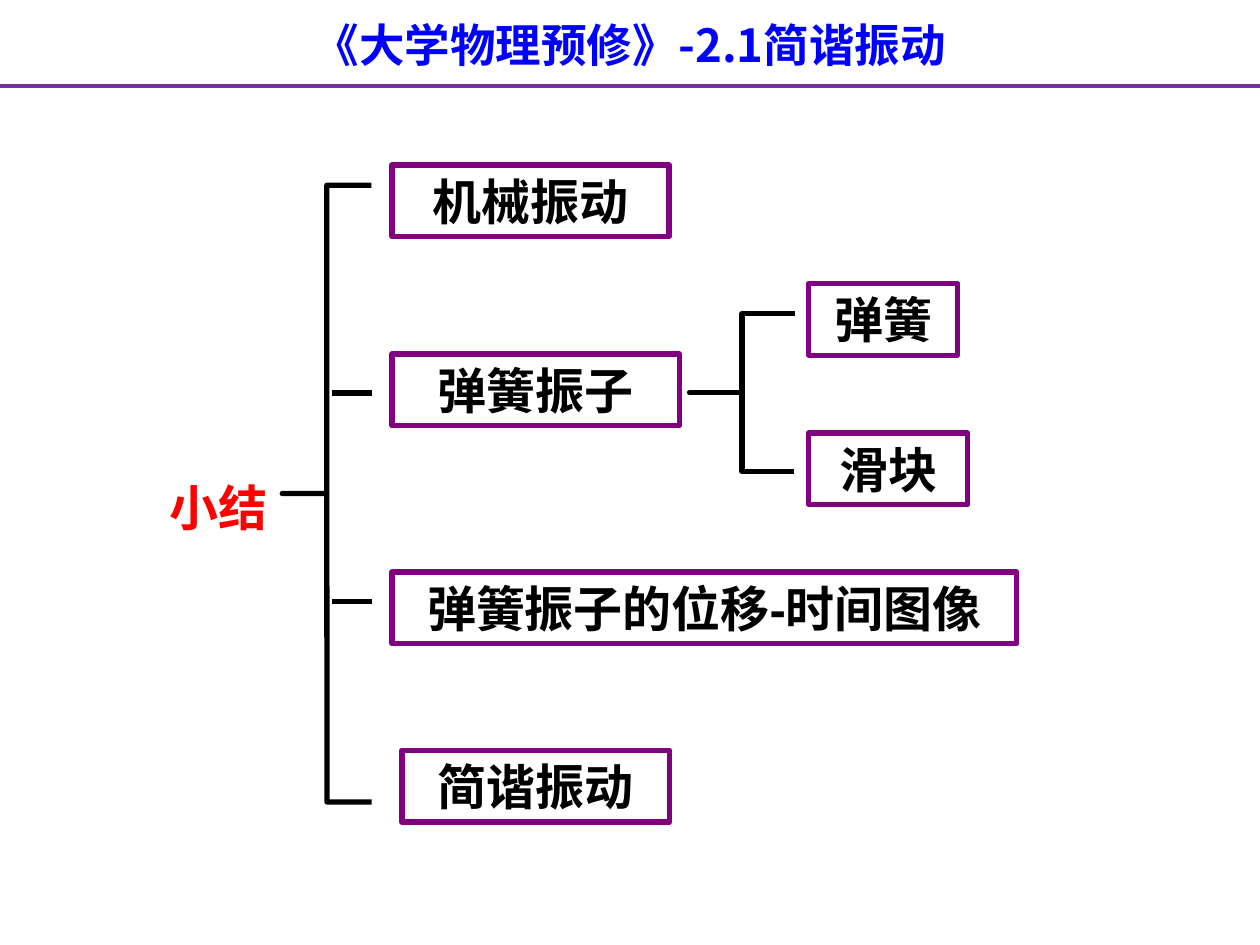
from lxml import etree
from pptx import Presentation, util as u
from pptx.dml.color import RGBColor
from pptx.enum import shapes, text
from pptx.oxml import ns

COLORS = {
    "background": "FFFFFF",
    "title": "0000FF",
    "rule": "7030A0",
    "border": "800080",
    "ink": "000000",
    "summary": "FF0000",
}
CJK_FONT = "Noto Sans CJK SC"
BOX_HEIGHT = 41


def color(name):
    return RGBColor.from_string(COLORS[name])


class SummarySlide:
    """Holds the slide and the style of its elements; lengths are points."""

    def __init__(self, presentation):
        self.slide = presentation.slides.add_slide(presentation.slide_layouts[6])
        self.shapes = self.slide.shapes
        self.line_width = 3
        fill = self.slide.background.fill
        fill.solid()
        fill.fore_color.rgb = color("background")

    def set_text(self, shape, words, size, font, ink, align):
        frame = shape.text_frame
        frame.word_wrap = True
        frame.vertical_anchor = text.MSO_ANCHOR.MIDDLE
        paragraph = frame.paragraphs[0]
        paragraph.text = words
        paragraph.alignment = align
        paragraph.font.name = font
        paragraph.font.size = u.Pt(size)
        paragraph.font.bold = True
        paragraph.font.color.rgb = color(ink)

    def label(self, words, left, top, width, height, size, ink, align):
        shape = self.shapes.add_textbox(*map(u.Pt, (left, top, width, height)))
        self.set_text(shape, words, size, CJK_FONT, ink, align)

    def outline(self, kind, left, top, width, height, ink):
        shape = self.shapes.add_shape(kind, *map(u.Pt, (left, top, width, height)))
        shape.shadow.inherit = False
        shape.line.color.rgb = color(ink)
        shape.line.width = u.Pt(self.line_width)
        return shape

    def box(self, words, left, top, width):
        shape = self.outline(shapes.MSO_SHAPE.RECTANGLE, left, top, width,
                             BOX_HEIGHT, "border")
        shape.fill.solid()
        shape.fill.fore_color.rgb = color("background")
        self.set_text(shape, words, 28, "Arial", "ink", text.PP_ALIGN.CENTER)

    def brace(self, kind, left, top, width, height, rotation=0):
        """Draw a brace with square corners."""
        shape = self.outline(kind, left, top, width, height, "ink")
        shape.fill.background()
        shape.adjustments[0] = 0
        shape.adjustments[1] = 0.5
        shape.rotation = rotation

    def line(self, left, right, y, ink, width):
        connector = self.shapes.add_connector(
            shapes.MSO_CONNECTOR.STRAIGHT, *map(u.Pt, (left, y, right, y)))
        connector.line.color.rgb = color(ink)
        connector.line.width = u.Pt(width)
        etree.SubElement(connector._element.spPr, ns.qn("a:effectLst"))


def main():
    presentation = Presentation()
    presentation.slide_width = u.Pt(720)
    presentation.slide_height = u.Pt(540)
    summary = SummarySlide(presentation)

    summary.label("《大学物理预修》-2.1简谐振动", 0, 5.8, 720, 39, 26, "title",
                  text.PP_ALIGN.CENTER)
    summary.line(0, 720, 49, "rule", 2.25)

    summary.label("小结", 90, 269.5, 98, 40, 28, "summary", text.PP_ALIGN.LEFT)
    summary.brace(shapes.MSO_SHAPE.LEFT_BRACE, 161.3, 105.8, 51, 352.5)
    summary.brace(shapes.MSO_SHAPE.RIGHT_BRACE, 394, 179.3, 60, 90, rotation=180)
    for y in (224.6, 343.8):
        summary.line(190, 212.4, y, "ink", summary.line_width)

    for words, left, top, width in (
        ("机械振动", 224, 94.3, 158.4),
        ("弹簧振子", 224, 202.3, 164.2),
        ("弹簧振子的位移-时间图像", 224, 326.9, 357.1),
        ("简谐振动", 229.7, 428.7, 153),
        ("弹簧", 462.2, 162, 85),
        ("滑块", 462.2, 247.4, 90.7),
    ):
        summary.box(words, left, top, width)

    presentation.save("out.pptx")


if __name__ == "__main__":
    main()
